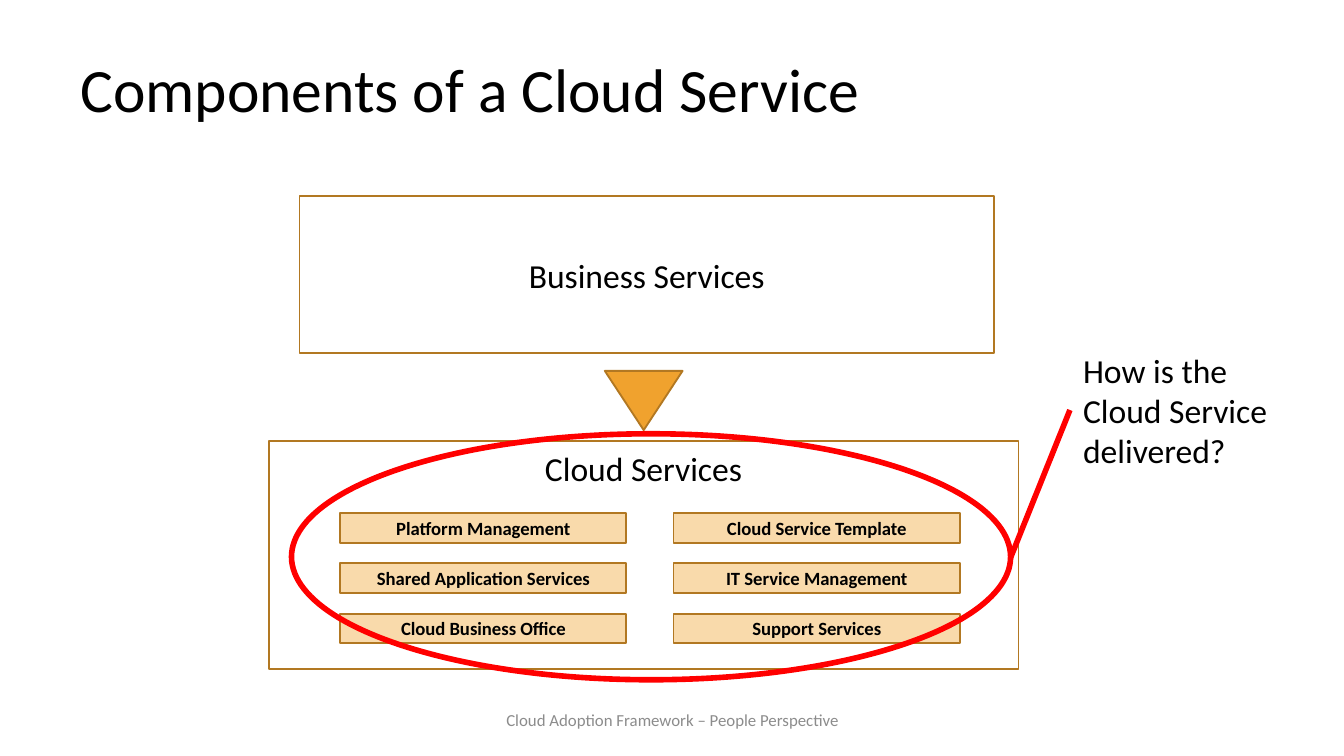
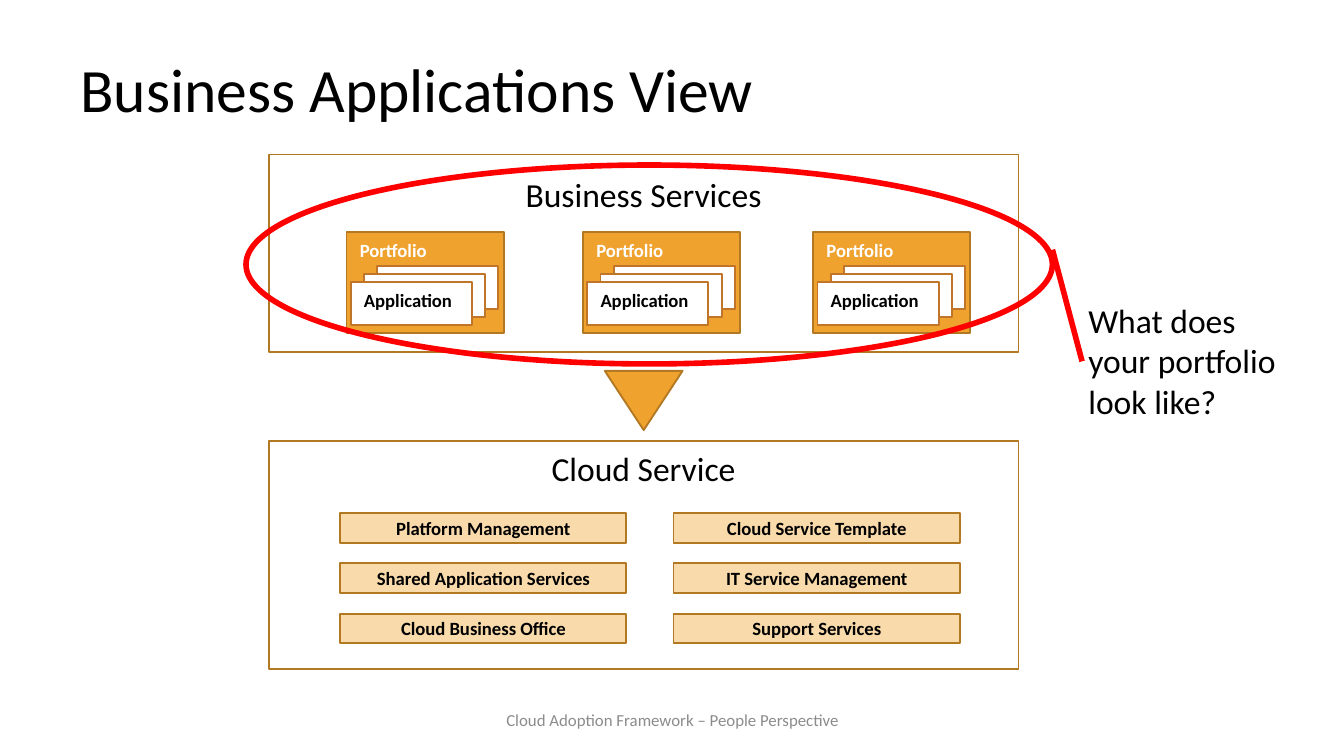
from dataclasses import dataclass
from typing import Any, Optional

import lxml.etree
import pptx
import pptx.dml.color
import pptx.enum.shapes
import pptx.enum.text
import pptx.oxml.ns
import pptx.presentation
import pptx.slide
import pptx.util

Cm = pptx.util.Cm
Kind = pptx.enum.shapes.MSO_SHAPE
Anchor = pptx.enum.text.MSO_ANCHOR
Align = pptx.enum.text.PP_ALIGN
AutoSize = pptx.enum.text.MSO_AUTO_SIZE


@dataclass(frozen=True)
class Theme:
    font: str = "Calibri"
    background: str = "FFFFFF"
    text: str = "000000"
    inverse_text: str = "FFFFFF"
    muted_text: str = "8C8C8C"
    accent: str = "F0A22E"
    accent_light: str = "F9DAAB"
    outline: str = "B27822"
    card: str = "FFFFFF"
    card_outline: str = "C17529"
    highlight: str = "FF0000"
    title_size: float = 33
    heading_size: float = 18
    label_size: float = 10
    footer_size: float = 9
    thin: float = 1
    thick: float = 3


@dataclass(frozen=True)
class Box:
    left: float
    top: float
    width: float
    height: float

    def lengths(self) -> tuple:
        return Cm(self.left), Cm(self.top), Cm(self.width), Cm(self.height)


@dataclass(frozen=True)
class Panel:
    box: Box
    heading: str
    anchor: Any = Anchor.TOP
    top_inset: float = 0.13


@dataclass(frozen=True)
class Callout:
    ellipse: Box
    note: Box
    text: str
    start: tuple[float, float]
    end: tuple[float, float]


@dataclass(frozen=True)
class View:
    title: str
    business: Panel
    cloud_heading: str
    callout: Callout
    portfolio_lefts: tuple[float, ...] = ()


THEME = Theme()
TITLE_BOX = Box(1.27, 0.58, 21.9, 2.34)
FOOTER_BOX = Box(8.41, 13.23, 8.59, 0.76)
FOOTER = "Cloud Adoption Framework – People Perspective"
CLOUD_BOX = Box(5.08, 8.33, 14.17, 4.32)
ARROW_BOX = Box(11.43, 7.01, 1.47, 1.12)
COMPONENT_COLUMNS = (
    (6.43, ("Platform Management", "Shared Application Services", "Cloud Business Office")),
    (12.73, ("Cloud Service Template", "IT Service Management", "Support Services")),
)
COMPONENT_TOP = 9.7
COMPONENT_PITCH = 0.95
PORTFOLIO_TOP = 4.39
CARD_COUNT = 3

VIEWS = (
    View(
        title="Components of a Cloud Service",
        business=Panel(Box(5.66, 3.71, 13.13, 2.97), "Business Services", Anchor.MIDDLE),
        cloud_heading="Cloud Services",
        callout=Callout(
            ellipse=Box(5.51, 8.2, 13.59, 4.65),
            note=Box(20.22, 6.48, 4.65, 2.57),
            text="How is the Cloud Service delivered?",
            start=(19.1, 10.54),
            end=(20.22, 7.75),
        ),
    ),
    View(
        title="Business Applications View",
        business=Panel(Box(5.08, 2.92, 14.17, 3.73), "Business Services", top_inset=0.36),
        cloud_heading="Cloud Service",
        callout=Callout(
            ellipse=Box(4.65, 3.12, 15.24, 3.76),
            note=Box(20.32, 5.54, 4.22, 2.57),
            text="What does your portfolio look like?",
            start=(19.89, 4.72),
            end=(20.45, 6.83),
        ),
        portfolio_lefts=(6.55, 11.02, 15.37),
    ),
)


def color(value: str) -> pptx.dml.color.RGBColor:
    return pptx.dml.color.RGBColor.from_string(value)


def write_text(
    shape: Any,
    text: str,
    *,
    size: float = THEME.heading_size,
    text_color: str = THEME.text,
    bold: bool = False,
    align: Any = Align.LEFT,
    anchor: Any = Anchor.TOP,
    top_inset: float = 0.13,
    line_spacing: float = 1.0,
    auto_size: Any = AutoSize.NONE,
) -> None:
    frame = shape.text_frame
    frame.word_wrap = True
    frame.auto_size = auto_size
    frame.vertical_anchor = anchor
    frame.margin_left = frame.margin_right = Cm(0.25)
    frame.margin_top = Cm(top_inset)
    frame.margin_bottom = Cm(0.13)
    paragraph = frame.paragraphs[0]
    paragraph.alignment = align
    paragraph.line_spacing = line_spacing
    run = paragraph.add_run()
    run.text = text
    run.font.name = THEME.font
    run.font.size = pptx.util.Pt(size)
    run.font.bold = bold
    run.font.color.rgb = color(text_color)


def draw_shape(
    shapes: Any,
    kind: Any,
    box: Box,
    fill: Optional[str] = None,
    line: str = THEME.outline,
    line_width: float = THEME.thin,
) -> Any:
    shape = shapes.add_shape(kind, *box.lengths())
    shape.shadow.inherit = False
    if fill is None:
        shape.fill.background()
    else:
        shape.fill.solid()
        shape.fill.fore_color.rgb = color(fill)
    shape.line.color.rgb = color(line)
    shape.line.width = pptx.util.Pt(line_width)
    return shape


def draw_panel(slide: pptx.slide.Slide, panel: Panel) -> None:
    shape = draw_shape(slide.shapes, Kind.RECTANGLE, panel.box)
    write_text(shape, panel.heading, align=Align.CENTER, anchor=panel.anchor,
               top_inset=panel.top_inset)


def draw_components(slide: pptx.slide.Slide) -> None:
    for left, labels in COMPONENT_COLUMNS:
        for row, label in enumerate(labels):
            box = Box(left, COMPONENT_TOP + row * COMPONENT_PITCH, 5.41, 0.56)
            shape = draw_shape(slide.shapes, Kind.RECTANGLE, box, THEME.accent_light)
            write_text(shape, label, size=THEME.label_size, bold=True,
                       align=Align.CENTER, anchor=Anchor.MIDDLE)


def draw_portfolio(slide: pptx.slide.Slide, left: float) -> None:
    shapes = slide.shapes.add_group_shape().shapes
    folder = draw_shape(shapes, Kind.RECTANGLE, Box(left, PORTFOLIO_TOP, 2.97, 1.9), THEME.accent)
    write_text(folder, "Portfolio", size=THEME.label_size, bold=True,
               text_color=THEME.inverse_text)
    for index in range(CARD_COUNT):
        box = Box(left + 0.58 - 0.25 * index, PORTFOLIO_TOP + 0.64 + 0.15 * index, 2.29, 0.81)
        card = draw_shape(shapes, Kind.RECTANGLE, box, THEME.card, THEME.card_outline)
    write_text(card, "Application", size=THEME.label_size, bold=True)


def draw_callout(slide: pptx.slide.Slide, callout: Callout) -> None:
    draw_shape(slide.shapes, Kind.OVAL, callout.ellipse,
               line=THEME.highlight, line_width=THEME.thick)
    note = slide.shapes.add_textbox(*callout.note.lengths())
    write_text(note, callout.text, auto_size=AutoSize.SHAPE_TO_FIT_TEXT)
    ends = [Cm(value) for value in callout.start + callout.end]
    connector = slide.shapes.add_connector(pptx.enum.shapes.MSO_CONNECTOR.STRAIGHT, *ends)
    connector.line.color.rgb = color(THEME.highlight)
    connector.line.width = pptx.util.Pt(THEME.thick)
    lxml.etree.SubElement(connector.element.spPr, pptx.oxml.ns.qn("a:effectLst"))


def draw_frame(slide: pptx.slide.Slide, title: str) -> None:
    slide.background.fill.solid()
    slide.background.fill.fore_color.rgb = color(THEME.background)
    heading = slide.shapes.title
    heading.left, heading.top, heading.width, heading.height = TITLE_BOX.lengths()
    write_text(heading, title, size=THEME.title_size, anchor=Anchor.MIDDLE, line_spacing=0.9)
    footer = slide.shapes.add_textbox(*FOOTER_BOX.lengths())
    write_text(footer, FOOTER, size=THEME.footer_size, text_color=THEME.muted_text,
               align=Align.CENTER, anchor=Anchor.MIDDLE)


def draw_view(presentation: pptx.presentation.Presentation, view: View) -> None:
    layout = presentation.slide_layouts.get_by_name("Title Only")
    slide = presentation.slides.add_slide(layout)
    draw_frame(slide, view.title)
    draw_panel(slide, Panel(CLOUD_BOX, view.cloud_heading))
    draw_components(slide)
    draw_panel(slide, view.business)
    arrow = draw_shape(slide.shapes, Kind.ISOSCELES_TRIANGLE, ARROW_BOX, THEME.accent)
    arrow.rotation = 180
    for left in view.portfolio_lefts:
        draw_portfolio(slide, left)
    draw_callout(slide, view.callout)


def main() -> None:
    presentation = pptx.Presentation()
    presentation.slide_width = Cm(25.4)
    presentation.slide_height = Cm(14.29)
    for view in VIEWS:
        draw_view(presentation, view)
    presentation.save("out.pptx")


if __name__ == "__main__":
    main()
